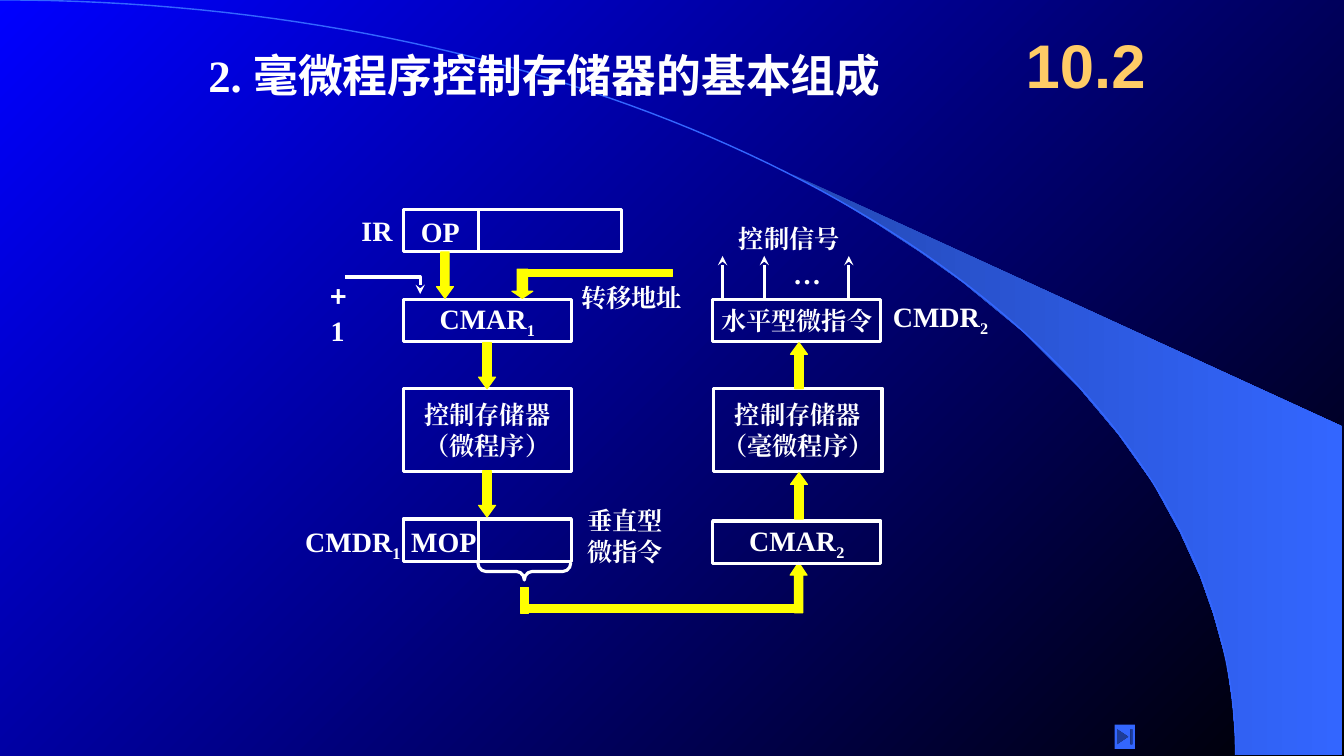
from pptx import Presentation
from pptx.dml.color import RGBColor
from pptx.enum.shapes import MSO_CONNECTOR, MSO_SHAPE
from pptx.enum.text import MSO_ANCHOR, MSO_AUTO_SIZE, PP_ALIGN
from pptx.oxml.ns import qn
from pptx.util import Cm, Pt
from lxml.etree import SubElement

WHITE, YELLOW, BLUE, GOLD = "FFFFFF", "FFFF00", "3366FF", "FFCC66"
BIG = {"size": Pt(20), "name": "Times New Roman", "bold": True}
MID = {**BIG, "size": Pt(18)}
HEAD = {**BIG, "size": Pt(32)}
ROW, WIDE = 1.07, 4.24


def tint(code):
    """Turn a hex string into a colour."""
    return RGBColor.from_string(code)


def blend(fill, start, end, angle):
    """Give a fill a two-stop linear gradient."""
    fill.gradient()
    fill.gradient_angle = angle
    for stop, code in zip(fill.gradient_stops, (start, end)):
        stop.color.rgb = tint(code)


def paint(shape, fill=None, line=None, width=2.25):
    """Set fill and outline of a shape and drop its shadow."""
    shape.shadow.inherit = False
    if fill:
        shape.fill.solid()
        shape.fill.fore_color.rgb = tint(fill)
    else:
        shape.fill.background()
    if line:
        shape.line.color.rgb = tint(line)
        shape.line.width = Pt(width)
    else:
        shape.line.fill.background()


def write(frame, lines, align=PP_ALIGN.LEFT, color=WHITE):
    """Fill a text frame with lines made of (text, format) runs."""
    for i, runs in enumerate(lines):
        para = frame.add_paragraph() if i else frame.paragraphs[0]
        para.alignment = align
        for words, style in runs:
            run = para.add_run()
            run.text = words
            for key, value in style.items():
                setattr(run.font, key, value)
            run.font.color.rgb = tint(color)
            props = run._r.get_or_add_rPr()
            SubElement(props, qn("a:ea")).set("typeface", style["name"])


def label(slide, box, lines, wrap=False, color=WHITE):
    """Add a text box."""
    frame = slide.shapes.add_textbox(*map(Cm, box)).text_frame
    frame.word_wrap = wrap
    frame.auto_size = MSO_AUTO_SIZE.SHAPE_TO_FIT_TEXT
    write(frame, lines, color=color)
    return frame


def lower(name, digit):
    """Return runs for a register name with a subscript digit."""
    return [[(name, BIG), (digit, BIG)]]


def drop(frame):
    """Lower the last run of a frame to a subscript."""
    run = frame.paragraphs[0].runs[-1]
    run._r.get_or_add_rPr().set("baseline", "-25000")


def cell(slide, box, lines=()):
    """Add a white outlined box with centred text."""
    shape = slide.shapes.add_shape(MSO_SHAPE.RECTANGLE, *map(Cm, box))
    paint(shape, line=WHITE)
    frame = shape.text_frame
    frame.word_wrap = False
    frame.vertical_anchor = MSO_ANCHOR.MIDDLE
    write(frame, lines, PP_ALIGN.CENTER)
    return frame


def bar(slide, box):
    """Add a yellow bar."""
    shape = slide.shapes.add_shape(MSO_SHAPE.RECTANGLE, *map(Cm, box))
    paint(shape, YELLOW, YELLOW, 0.75)


def arrow(slide, box, tip=0.69, turn=0):
    """Add a yellow block arrow."""
    shape = slide.shapes.add_shape(MSO_SHAPE.DOWN_ARROW, *map(Cm, box))
    shape.adjustments[1] = tip
    shape.rotation = turn
    paint(shape, YELLOW, YELLOW, 0.75)


def point(shape):
    """Put a stealth arrowhead at the end of a line."""
    SubElement(shape.line._get_or_add_ln(), qn("a:tailEnd")).set("type", "stealth")


def rule(slide, ends, head=False):
    """Add a straight white line."""
    line = slide.shapes.add_connector(MSO_CONNECTOR.STRAIGHT, *map(Cm, ends))
    line.line.color.rgb = tint(WHITE)
    line.line.width = Pt(2.25)
    SubElement(line._element.spPr, qn("a:effectLst"))
    if head:
        point(line)


def trace(slide, points, close=False):
    """Build an outline through points."""
    spots = [(Cm(x), Cm(y)) for x, y in points]
    build = slide.shapes.build_freeform(*spots[0])
    build.add_line_segments(spots[1:], close=close)
    return build.convert_to_shape()


def scene(slide, wide, high):
    """Draw the backdrop with its blue sweep and arc."""
    blend(slide.background.fill, "0000FF", "000000", 315)
    edge = [(19.96, 4.39), (21.13, 5.05), (22.1, 5.64), (23.19, 6.35), (24.26, 7.11),
            (25.81, 8.38), (27.18, 9.75), (28.19, 10.95), (29.06, 12.17),
            (29.74, 13.41), (30.25, 14.53), (30.58, 15.47), (30.91, 16.66),
            (31.06, 17.68), (31.17, high)]
    sweep = trace(slide, edge + [(wide, high), (wide, 10.74)], True)
    paint(sweep)
    blend(sweep.fill, "2449B6", BLUE, 0)
    arc = []
    for i in range(81):
        t = i / 80
        a, b, c = 3 * t * (1 - t) ** 2, 3 * t * t * (1 - t), t ** 3
        arc.append((17.2 * a + 31.14 * (b + c), 8.51 * b + high * c))
    paint(trace(slide, arc), line=BLUE, width=1)


def title(slide, x, y):
    """Write the heading and the section number."""
    label(slide, (x, y, 20.4, 1.6), [[
        ("2.", HEAD), ("　", {**HEAD, "size": Pt(8)}),
        ("毫微程序控制存储器的基本组成", {**HEAD, "name": "DejaVu Sans"})]], True)
    frame = label(slide, (x + 20.6, y - 0.64, 4.01, 2.34),
                  [[("10.2", {"size": Pt(44), "name": "Arial", "bold": True})]],
                  True, GOLD)
    frame.vertical_anchor = MSO_ANCHOR.MIDDLE


def micro(slide, x, y):
    """Draw the microprogram column."""
    cell(slide, (x, y, 5.5, ROW))
    drop(cell(slide, (x, y + 2.26, WIDE, ROW), lower("CMAR", "1")))
    cell(slide, (x, y + 4.5, WIDE, 2.11), [[("控制存储器", MID)], [("（微程序）", MID)]])
    cell(slide, (x, y + 7.8, WIDE, ROW))
    for top in (y, y + 7.8):
        rule(slide, (x + 1.9, top, x + 1.9, top + ROW))
    for dx, dy in ((0.84, 1.07), (1.9, 3.35), (1.9, 6.58)):
        arrow(slide, (x + dx, y + dy, 0.43, 1.17))
    arrow(slide, (x + 2.74, y + 1.5, 0.53, 0.74), 0.34)
    bar(slide, (x + 2.97, y + 1.5, 3.81, 0.2))
    step = trace(slide, [(x - 1.47, y + 1.7), (x + 0.43, y + 1.7), (x + 0.43, y + 2.13)])
    paint(step, line=WHITE)
    point(step)
    brace = slide.shapes.add_shape(
        MSO_SHAPE.LEFT_BRACE, *map(Cm, (x + 2.84, y + 7.95, 0.43, 2.34)))
    brace.adjustments[0] = 0.46
    brace.rotation = 270
    paint(brace, line=WHITE)
    label(slide, (x + 0.2, y, 1.5, 1.09), [[("OP", BIG)]])
    label(slide, (x - 0.05, y + 7.8, 2.16, 1.09), [[("MOP", BIG)]])
    label(slide, (x - 1.3, y - 0.02, 1.3, 1.09), [[("IR", BIG)]])
    label(slide, (x - 2.08, y + 1.65, 1.4, 1.09),
          [[("+", {**BIG, "name": "Noto Sans CJK SC"}), (" 1", BIG)]], True)
    label(slide, (x + 4.24, y + 1.7, 3.07, 1.02), [[("转移地址", MID)]])
    label(slide, (x + 4.39, y + 7.34, 2.44, 1.78), [[("垂直型", MID)], [("微指令", MID)]])
    drop(label(slide, (x - 2.72, y + 7.8, 2.97, 1.12), lower("CMDR", "1")))


def nano(slide, x, y):
    """Draw the nanoprogram column."""
    drop(cell(slide, (x, y + 7.85, WIDE, ROW), lower("CMAR", "2")))
    cell(slide, (x + 0.03, y + 4.5, WIDE, 2.11), [[("控制存储器", MID)], [("（毫微程序）", MID)]])
    cell(slide, (x, y + 2.26, WIDE, ROW), [[("水平型微指令", MID)]])
    for dy in (3.35, 6.63):
        arrow(slide, (x + 1.96, y + dy, 0.43, 1.17), turn=180)
    for dx in (0.25, 1.3, 3.43):
        rule(slide, (x + dx, y + 2.24, x + dx, y + 1.17), True)
    label(slide, (x + 1.78, y + 1.07, 1.22, 1.09), [[("…", BIG)]])
    label(slide, (x + 0.41, y + 0.23, 3.07, 1.02), [[("控制信号", MID)]])
    drop(label(slide, (x + 4.29, y + 2.13, 2.97, 1.12), lower("CMDR", "2")))


def link(slide, x, y):
    """Join the two columns with a yellow path."""
    bar(slide, (x, y + 0.64, 0.2, 0.64))
    bar(slide, (x, y + 1.07, 6.99, 0.2))
    arrow(slide, (x + 6.78, y, 0.43, 1.27), 0.75, 180)


def main():
    """Build and save the slide."""
    deck = Presentation()
    deck.slide_width, deck.slide_height = Cm(33.87), Cm(19.05)
    slide = deck.slides.add_slide(deck.slide_layouts[6])
    scene(slide, 33.81, 19.02)
    title(slide, 5, 1.07)
    link(slide, 13.13, 14.17)
    micro(slide, 10.16, 5.28)
    nano(slide, 17.96, 5.28)
    end = slide.shapes.add_shape(
        MSO_SHAPE.ACTION_BUTTON_END, *map(Cm, (28.09, 18.26, 0.51, 0.61)))
    paint(end, BLUE)
    deck.save("out.pptx")


if __name__ == "__main__":
    main()
